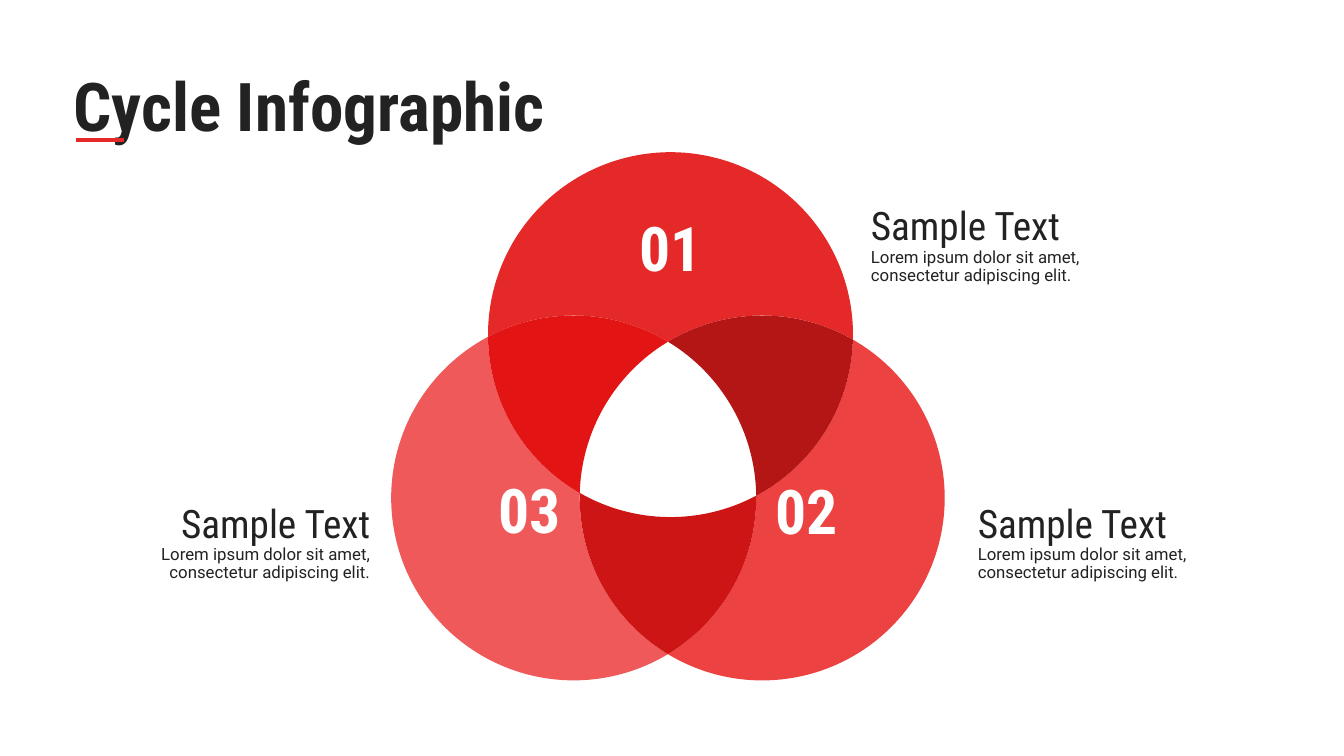
import math
from lxml import etree
from pptx import Presentation
from pptx.dml.color import RGBColor
from pptx.enum.shapes import MSO_CONNECTOR
from pptx.enum.text import MSO_ANCHOR, MSO_AUTO_SIZE, PP_ALIGN
from pptx.oxml.ns import qn
from pptx.util import Inches, Pt

LEFT, CENTER, RIGHT = PP_ALIGN.LEFT, PP_ALIGN.CENTER, PP_ALIGN.RIGHT
MIDDLE = MSO_ANCHOR.MIDDLE
NO_FIT, GROW = MSO_AUTO_SIZE.NONE, MSO_AUTO_SIZE.SHAPE_TO_FIT_TEXT
STRAIGHT = MSO_CONNECTOR.STRAIGHT

HEAD_FONT, BODY_FONT = "Roboto Condensed", "Roboto"
INK, WHITE, RED = "222222", "FFFFFF", "E52828"
TITLE = "Cycle Infographic"
HEADING = "Sample Text"
BODY = "Lorem ipsum dolor sit amet, consectetur adipiscing elit."

RADIUS = 1.81
CIRCLES = [(6.65, 3.32), (7.56, 4.94), (5.69, 4.94)]
PETALS = [("01", RED), ("02", "EC4242"), ("03", "F05959")]
OVERLAPS = ["B41616", "CE1515", "E21414"]
CAPTIONS = [(8.54, 1.95, LEFT), (9.6, 4.9, LEFT), (1.04, 4.9, RIGHT)]
MIDPOINT = tuple(sum(axis) / 3 for axis in zip(*CIRCLES))


def rgb(value):
    return RGBColor.from_string(value)


def write(p, text, size, font=HEAD_FONT, color=INK, bold=False,
          align=LEFT, spacing=1.0):
    p.alignment, p.line_spacing = align, spacing
    r = p.add_run()
    r.text = text
    r.font.name, r.font.size, r.font.bold = font, Pt(size), bold
    r.font.color.rgb = rgb(color)


def crossings(a, b):
    (ax, ay), (bx, by) = CIRCLES[a], CIRCLES[b]
    gap = math.dist(CIRCLES[a], CIRCLES[b])
    k = math.sqrt(RADIUS ** 2 - gap ** 2 / 4) / gap
    mx, my = (ax + bx) / 2, (ay + by) / 2
    points = [(mx + s * k * (by - ay), my - s * k * (bx - ax)) for s in (1, -1)]
    return sorted(points, key=lambda point: math.dist(point, MIDPOINT))


def inner(a, b):
    return crossings(a, b)[0]


def outer(a, b):
    return crossings(a, b)[1]


def arc(circle, start, end, clockwise=False):
    cx, cy = CIRCLES[circle]
    first, last = (math.atan2(y - cy, x - cx) for x, y in (start, end))
    sweep = (last - first) % math.tau
    if not clockwise and sweep > math.pi:
        sweep -= math.tau
    steps = round(abs(sweep) / math.radians(30))
    turn = sweep / steps
    pull = 4 / 3 * math.tan(turn / 4)

    def at(angle, along=0):
        cos, sin = math.cos(angle), math.sin(angle)
        return (cx + RADIUS * (cos - along * sin), cy + RADIUS * (sin + along * cos))

    angles = [first + turn * i for i in range(steps)]
    return [(at(t, pull), at(t + turn, -pull), at(t + turn)) for t in angles]


def add_region(slide, curves, color):
    curves = [[(Inches(x), Inches(y)) for x, y in curve] for curve in curves]
    nodes = [curve[-1] for curve in curves]
    builder = slide.shapes.build_freeform(*nodes[-1])
    builder.add_line_segments(nodes, close=True)
    sp = builder.convert_to_shape()
    for segment, curve in zip(list(sp._element.iter(qn("a:lnTo"))), curves):
        bezier = etree.Element(qn("a:cubicBezTo"))
        for x, y in curve:
            etree.SubElement(bezier, qn("a:pt"), x=str(x - sp.left), y=str(y - sp.top))
        segment.getparent().replace(segment, bezier)
    sp.shadow.inherit = False
    sp.fill.solid()
    sp.fill.fore_color.rgb = rgb(color)
    sp.line.fill.background()
    return sp


def main():
    prs = Presentation()
    prs.slide_width, prs.slide_height = Inches(13.33), Inches(7.5)
    slide = prs.slides.add_slide(prs.slide_layouts[5])

    title = slide.shapes.title
    title.left, title.top = Inches(0.63), Inches(0.7)
    title.width, title.height = Inches(7.79), Inches(0.84)
    tf = title.text_frame
    tf.auto_size, tf.vertical_anchor = NO_FIT, MIDDLE
    write(tf.paragraphs[0], TITLE, 48, bold=True, spacing=0.75)

    rule = slide.shapes.add_connector(
        STRAIGHT, Inches(0.75), Inches(1.39), Inches(1.23), Inches(1.39))
    rule.line.color.rgb, rule.line.width = rgb(RED), Pt(3)
    etree.SubElement(rule._element.find(qn("p:spPr")), qn("a:effectLst"))

    for a, (number, color) in enumerate(PETALS):
        after, before = (a + 1) % 3, (a + 2) % 3
        hub = inner(before, after)
        curves = (arc(a, outer(a, before), outer(a, after), clockwise=True)
                  + arc(after, outer(a, after), hub)
                  + arc(before, hub, outer(a, before)))
        tf = add_region(slide, curves, color).text_frame
        tf.vertical_anchor = MIDDLE
        write(tf.paragraphs[0], number, 44, color=WHITE, bold=True, align=CENTER)

    for a, color in enumerate(OVERLAPS):
        b, c = (a + 1) % 3, (a + 2) % 3
        curves = (arc(a, inner(a, c), outer(a, b))
                  + arc(b, outer(a, b), inner(b, c))
                  + arc(c, inner(b, c), inner(a, c)))
        add_region(slide, curves, color)

    for left, top, align in CAPTIONS:
        box = slide.shapes.add_textbox(
            Inches(left), Inches(top), Inches(2.73), Inches(0.94))
        tf = box.text_frame
        tf.word_wrap, tf.auto_size = True, GROW
        write(tf.paragraphs[0], HEADING, 28, align=align)
        write(tf.add_paragraph(), BODY, 12, font=BODY_FONT, align=align, spacing=0.9)

    prs.save("out.pptx")


if __name__ == "__main__":
    main()
